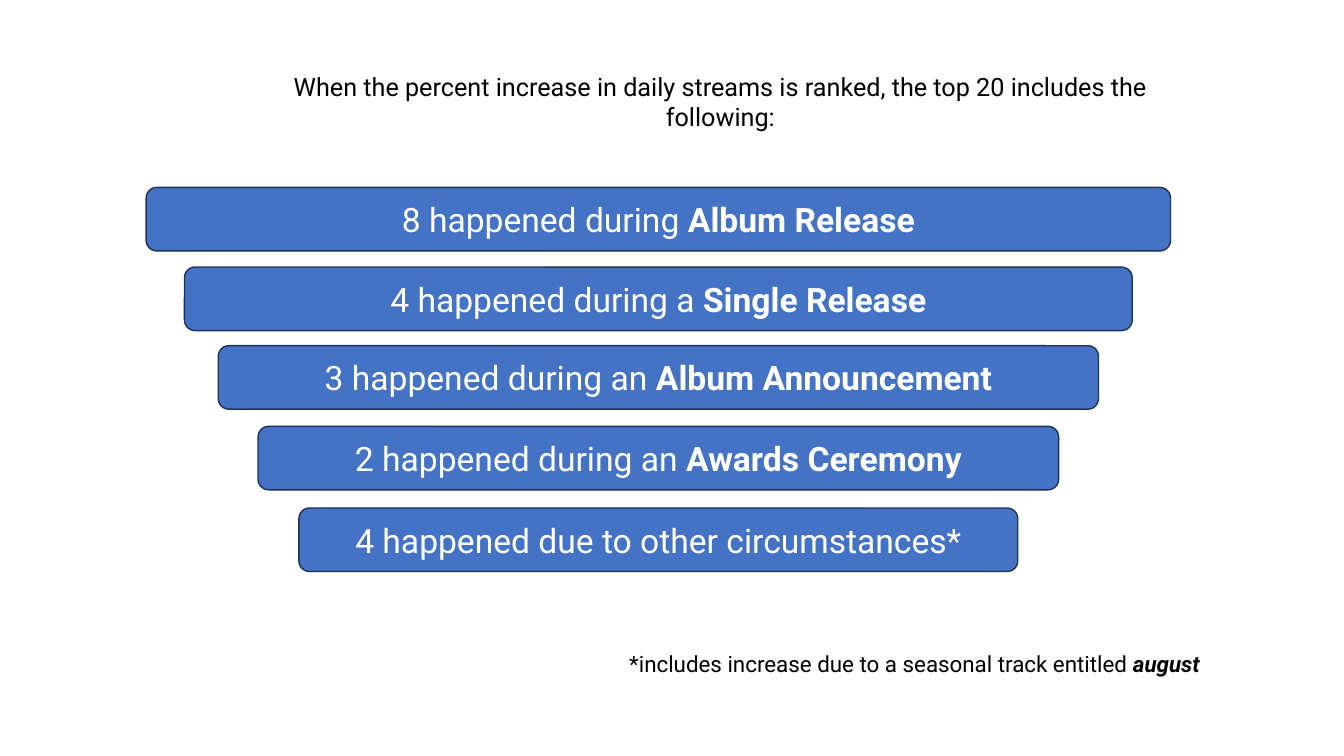
from pptx import Presentation
from pptx.dml.color import RGBColor
from pptx.enum.shapes import MSO_SHAPE
from pptx.enum.text import MSO_ANCHOR, MSO_AUTO_SIZE, PP_ALIGN
from pptx.util import Inches, Pt

COLORS = {"bar": "4472C4", "outline": "1E3256", "text": "000000", "bar_text": "FFFFFF"}
FONT = "Roboto"
FUNNEL_CENTER = 6.53
ROW_HEIGHT = 0.63

# top, width, plain wording, bold wording
FUNNEL = [
    (1.86, 10.16, "8 happened during ", "Album Release"),
    (2.65, 9.4, "4 happened during a ", "Single Release"),
    (3.43, 8.73, "3 happened during an ", "Album Announcement"),
    (4.23, 7.94, "2 happened during an ", "Awards Ceremony"),
    (5.04, 7.13, "4 happened due to other circumstances*", ""),
]


class FunnelSlide:
    def __init__(self, presentation):
        self.slide = presentation.slides.add_slide(presentation.slide_layouts[5])

    def color(self, name):
        return RGBColor.from_string(COLORS[name])

    def add_wording(self, frame, plain, size, color, emphasis="", italic=False):
        """Fill a frame with one centred paragraph that ends in a bold emphasis."""
        frame.word_wrap = True
        frame.auto_size = MSO_AUTO_SIZE.NONE
        frame.vertical_anchor = MSO_ANCHOR.MIDDLE
        frame.margin_left = frame.margin_right = Inches(0.13)
        frame.margin_top = frame.margin_bottom = Inches(0.13)
        paragraph = frame.paragraphs[0]
        paragraph.alignment = PP_ALIGN.CENTER
        for wording, strong in ((plain, False), (emphasis, True)):
            if wording:
                run = paragraph.add_run()
                run.text = wording
                run.font.name = FONT
                run.font.size = Pt(size)
                run.font.bold = strong
                run.font.italic = strong and italic
                run.font.color.rgb = self.color(color)

    def heading(self, left, top, width, wording):
        title = self.slide.shapes.title
        title.left, title.top = Inches(left), Inches(top)
        title.width, title.height = Inches(width), Inches(ROW_HEIGHT)
        self.add_wording(title.text_frame, wording, 18, "text")

    def bar(self, top, width, plain, emphasis):
        bar = self.slide.shapes.add_shape(
            MSO_SHAPE.ROUNDED_RECTANGLE, Inches(FUNNEL_CENTER - width / 2),
            Inches(top), Inches(width), Inches(ROW_HEIGHT))
        bar.shadow.inherit = False
        bar.fill.solid()
        bar.fill.fore_color.rgb = self.color("bar")
        bar.line.color.rgb = self.color("outline")
        bar.line.width = Pt(1)
        self.add_wording(bar.text_frame, plain, 24, "bar_text", emphasis)

    def footnote(self, left, top, width, plain, emphasis):
        note = self.slide.shapes.add_textbox(
            Inches(left), Inches(top), Inches(width), Inches(ROW_HEIGHT))
        self.add_wording(note.text_frame, plain, 16, "text", emphasis, italic=True)


def main():
    presentation = Presentation()
    presentation.slide_width, presentation.slide_height = Inches(13.33), Inches(7.5)
    page = FunnelSlide(presentation)
    page.heading(2.3, 0.69, 9.69, "When the percent increase in daily streams is ranked, "
                                  "the top 20 includes the following:")
    for top, width, plain, emphasis in FUNNEL:
        page.bar(top, width, plain, emphasis)
    page.footnote(5.54, 6.27, 7.06,
                  "*includes increase due to a seasonal track entitled ", "august")
    presentation.save("out.pptx")


if __name__ == "__main__":
    main()
